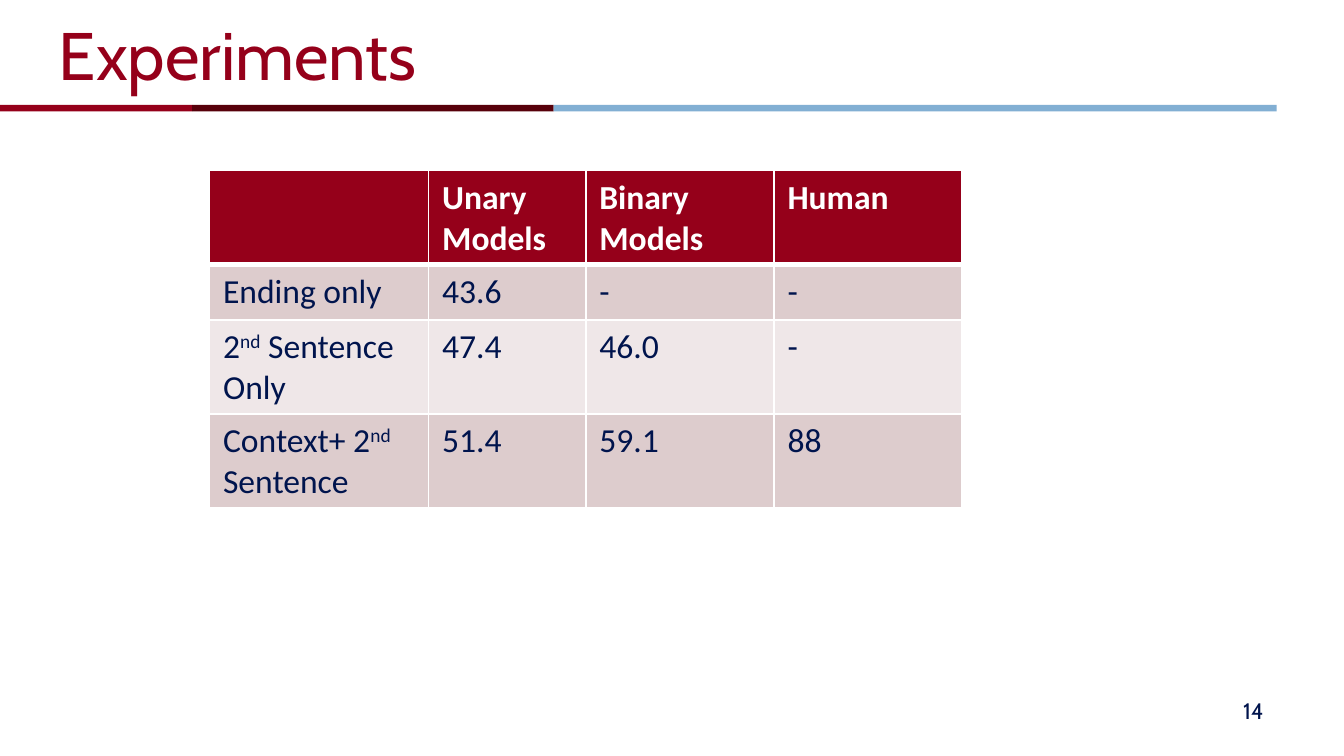
from dataclasses import dataclass

import lxml.etree
import pptx
import pptx.dml.color
import pptx.enum.shapes
import pptx.enum.text
import pptx.oxml.ns
import pptx.util
from pptx.util import Inches


@dataclass(frozen=True)
class Theme:
    crimson: str = "95001A"
    maroon: str = "57000A"
    sky: str = "82AFD3"
    navy: str = "00144D"
    white: str = "FFFFFF"
    bands: tuple = ("DDCCCD", "EFE7E8")
    heading_font: str = "Cabin"
    table_font: str = "Calibri"
    title_size: int = 36
    table_size: int = 18
    number_size: int = 12


theme = Theme()
rgb = pptx.dml.color.RGBColor.from_string
qn = pptx.oxml.ns.qn


def style_run(run, font, size, color, bold=False):
    run.font.name = font
    run.font.size = pptx.util.Pt(size)
    run.font.color.rgb = rgb(color)
    run.font.bold = bold


def add_borders(cell, widths):
    """Put white lines, in points, on the left, right, top and bottom edges."""
    properties = cell._tc.get_or_add_tcPr()
    for position, (edge, width) in enumerate(zip("LRTB", widths)):
        line = lxml.etree.Element(qn(f"a:ln{edge}"), w=str(pptx.util.Pt(width)))
        fill = lxml.etree.SubElement(line, qn("a:solidFill"))
        lxml.etree.SubElement(fill, qn("a:srgbClr"), val=theme.white)
        properties.insert(position, line)


# Widescreen, 16:9
deck = pptx.Presentation()
deck.slide_width = Inches(10)
deck.slide_height = deck.slide_width * 9 // 16
slide = deck.slides.add_slide(deck.slide_layouts[6])

# Three-colour rule under the title
left = -0.01
for width, color in ((1.44, theme.crimson), (2.69, theme.maroon), (5.38, theme.sky)):
    stripe = slide.shapes.add_shape(
        pptx.enum.shapes.MSO_SHAPE.RECTANGLE,
        Inches(left), Inches(0.78), Inches(width), Inches(0.05))
    stripe.shadow.inherit = False
    stripe.fill.solid()
    stripe.fill.fore_color.rgb = rgb(color)
    stripe.line.fill.background()
    left += width

# Title and page number
align = pptx.enum.text.PP_ALIGN
for text, box, size, color, alignment in (
    ("Experiments", (0.34, 0.02, 9, 0.76), theme.title_size, theme.crimson, align.LEFT),
    ("14", (7.17, 5.14, 2.33, 0.3), theme.number_size, theme.navy, align.RIGHT),
):
    frame = slide.shapes.add_textbox(*map(Inches, box)).text_frame
    frame.word_wrap = True
    frame.vertical_anchor = pptx.enum.text.MSO_ANCHOR.MIDDLE
    frame.text = text
    frame.paragraphs[0].alignment = alignment
    style_run(frame.paragraphs[0].runs[0], theme.heading_font, size, color)

# Results table; "^" encloses superscript text
results = (
    ("", "Unary Models", "Binary Models", "Human"),
    ("Ending only", "43.6", "-", "-"),
    ("2^nd^ Sentence Only", "47.4", "46.0", "-"),
    ("Context+ 2^nd^ Sentence", "51.4", "59.1", "88"),
)
column_widths = (1.63, 1.17, 1.4, 1.4)
row_height = 0.41
table_height = Inches(2.51)

table_frame = slide.shapes.add_table(
    len(results), len(column_widths), Inches(1.56), Inches(1.27),
    Inches(sum(column_widths)), table_height)
table = table_frame.table
for column, width in zip(table.columns, column_widths):
    column.width = Inches(width)

for row, values in enumerate(results):
    is_header = row == 0
    table.rows[row].height = Inches(row_height)
    for column, value in enumerate(values):
        cell = table.cell(row, column)
        cell.fill.solid()
        cell.fill.fore_color.rgb = rgb(
            theme.crimson if is_header else theme.bands[(row - 1) % 2])
        add_borders(cell, (1, 1, 3 if row == 1 else 1, 3 if is_header else 1))
        if not value:
            continue
        for part, text in enumerate(value.split("^")):
            run = cell.text_frame.paragraphs[0].add_run()
            run.text = text
            style_run(run, theme.table_font, theme.table_size,
                      theme.white if is_header else theme.navy, is_header)
            if part % 2:
                run.font._element.set("baseline", "30000")

# The wrapped rows make the table taller than the sum of its row heights
table_frame.height = table_height

deck.save("out.pptx")
